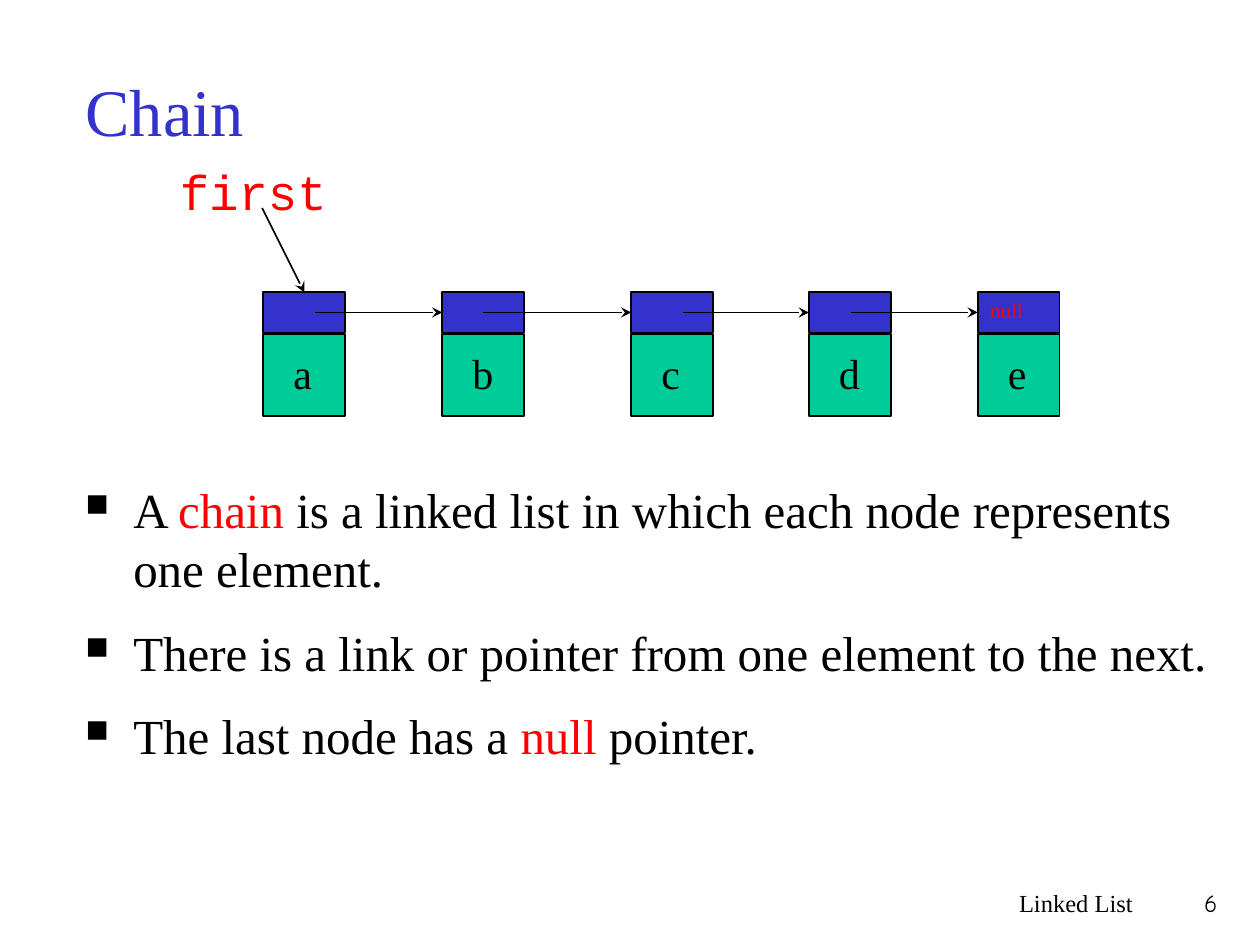
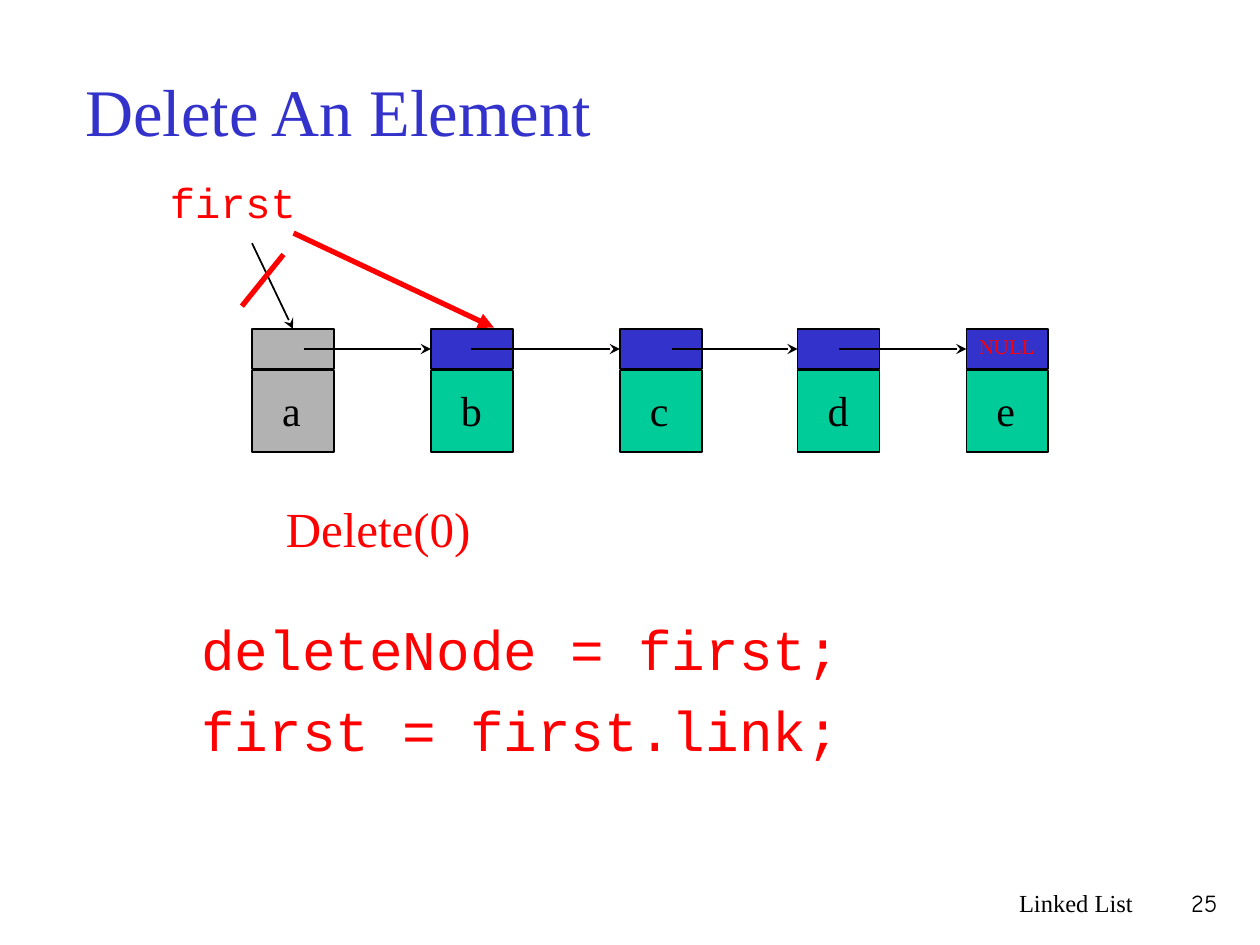
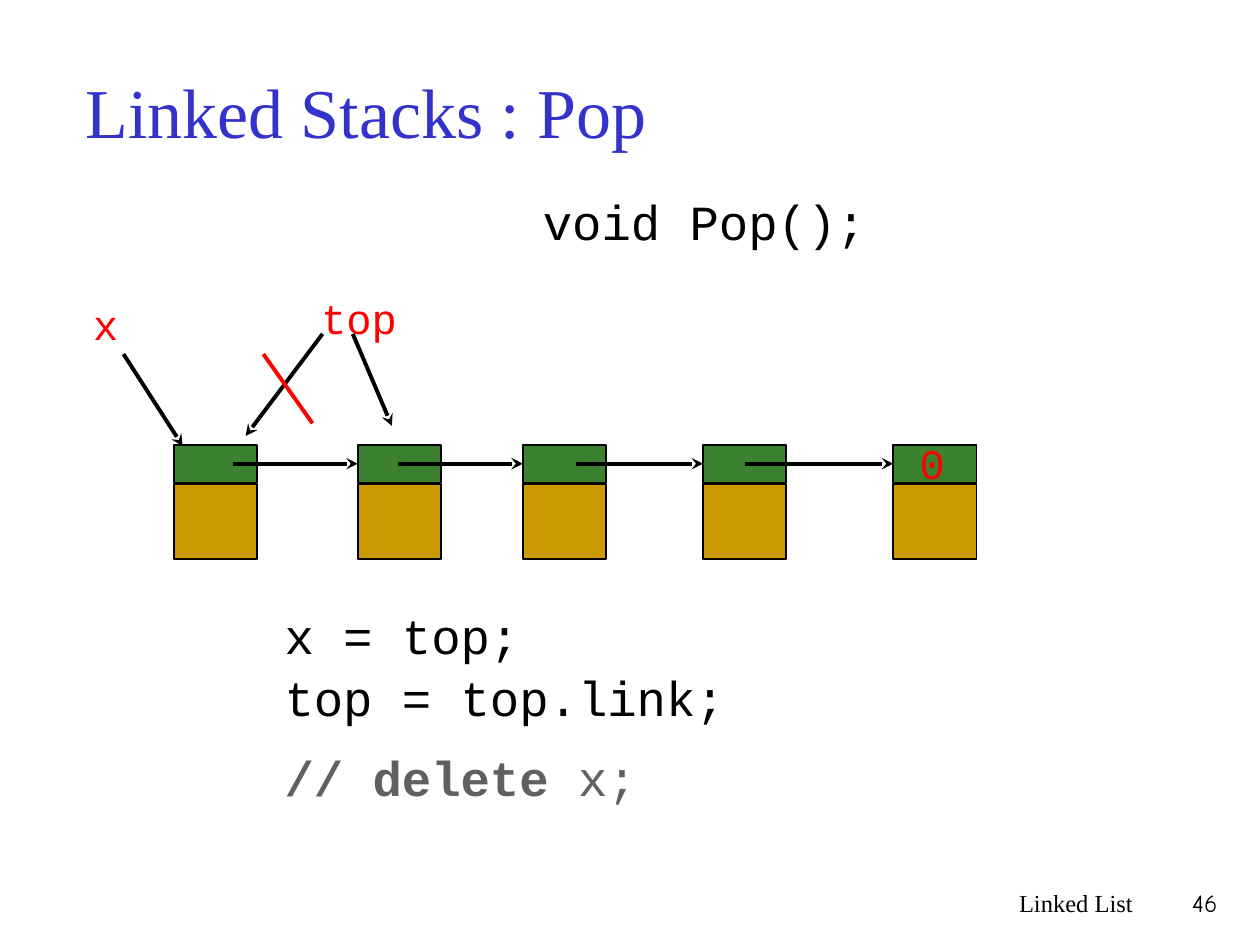
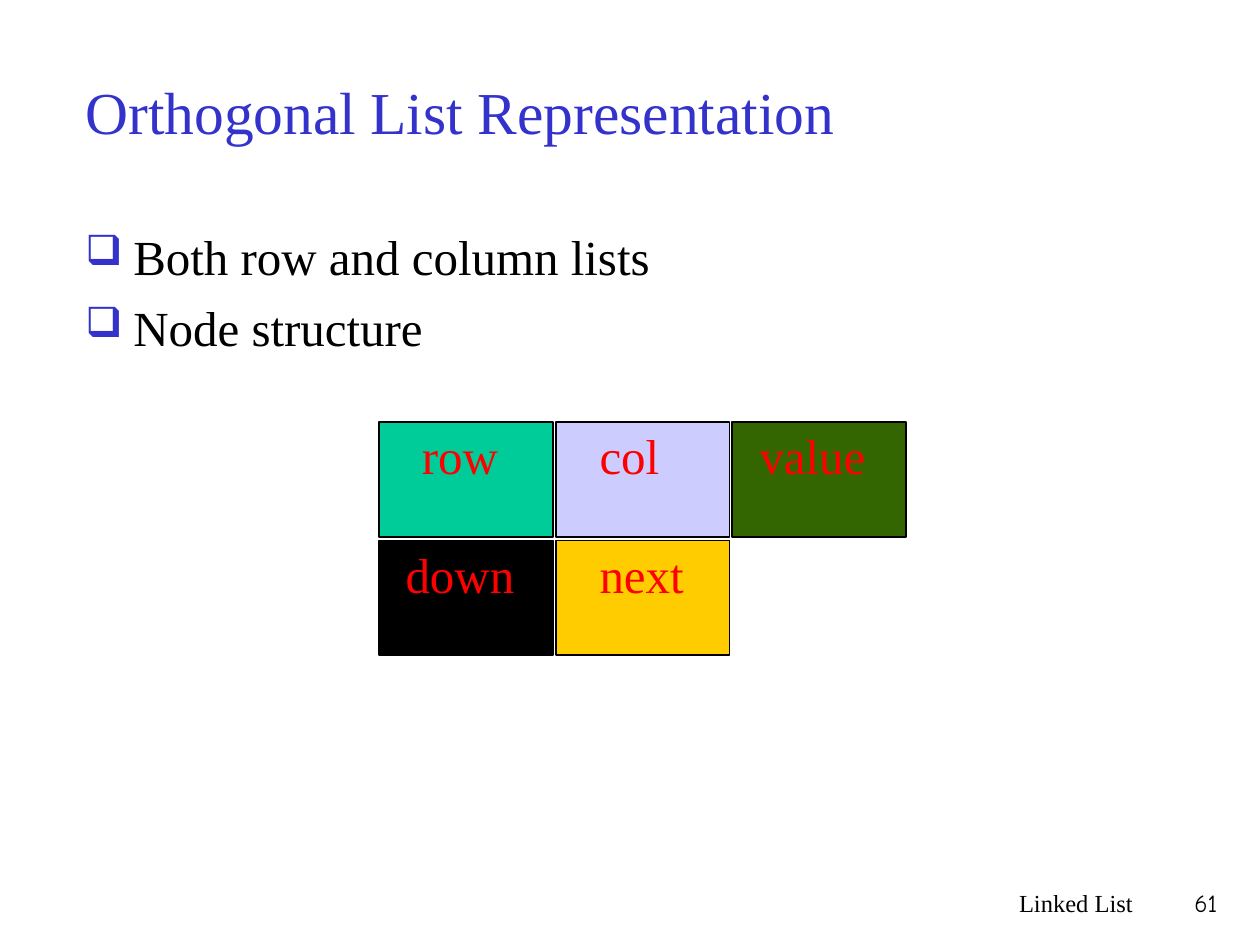
from dataclasses import dataclass
from typing import NamedTuple, Sequence

from lxml import etree
from pptx import Presentation
from pptx.dml.color import RGBColor
from pptx.enum.shapes import MSO_CONNECTOR, MSO_SHAPE
from pptx.enum.text import MSO_ANCHOR, PP_ALIGN
from pptx.oxml.ns import qn
from pptx.shapes.autoshape import Shape
from pptx.shapes.connector import Connector
from pptx.slide import Slide
from pptx.util import Inches, Pt

RECT = MSO_SHAPE.RECTANGLE
STRAIGHT = MSO_CONNECTOR.STRAIGHT
TOP, MIDDLE = MSO_ANCHOR.TOP, MSO_ANCHOR.MIDDLE
LEFT, RIGHT = PP_ALIGN.LEFT, PP_ALIGN.RIGHT
TOP_SIDE, LEFT_SIDE = 0, 1


@dataclass(frozen=True)
class Theme:
    serif: str = "Times New Roman"
    mono: str = "Courier New"
    comic: str = "Comic Neue"
    black: str = "000000"
    red: str = "FF0000"
    blue: str = "3333CC"
    teal: str = "00CC99"
    gray: str = "B2B2B2"
    dim: str = "606060"
    green: str = "3B812F"
    ochre: str = "CC9900"
    lilac: str = "CCCCFF"
    forest: str = "336600"
    gold: str = "FFCC00"
    title: int = 38
    code: int = 32
    body: int = 28
    label: int = 24
    foot: int = 14
    tiny: int = 12


T = Theme()


class Box(NamedTuple):
    x: float
    y: float
    w: float
    h: float


class Run(NamedTuple):
    text: str
    color: str
    bold: bool = False


class Bullet(NamedTuple):
    char: str
    color: str
    percent: int


class Style(NamedTuple):
    size: int
    face: str = T.serif
    color: str = T.black
    align: PP_ALIGN = LEFT
    anchor: MSO_ANCHOR = TOP
    gap: int = 0
    bullet: Bullet | None = None
    inset: tuple[float, float] = (0.1, 0.05)


class Line(NamedTuple):
    x1: float
    y1: float
    x2: float
    y2: float
    color: str = T.black
    width: float = 1
    head: str | None = "stealth"


class Look(NamedTuple):
    """Sizes, fills and arrow width shared by the nodes of one chain."""
    width: float
    link_h: float
    data_h: float
    link: str
    data: str
    arrow: float


class Node(NamedTuple):
    left: float
    tail: float = 0
    label: str = ""
    fill: str | None = None


class Cell(NamedTuple):
    col: int
    row: int
    text: str
    fill: str
    shift: float
    width: float


Text = str | Sequence[Run]

LIST = Look(0.65, 0.32, 0.65, T.blue, T.teal, 1)
STACK = Look(0.66, 0.3, 0.6, T.green, T.ochre, 2.25)
LABEL = Style(T.label)
NULL = Style(T.tiny, color=T.red)
CODE = Style(T.body, T.mono)
NAME = Style(T.label, T.mono, T.red)
TIGHT = NAME._replace(inset=(0.07, 0.04))
FIELD = Style(T.body, color=T.red)
NOTES = Style(T.body, gap=14, bullet=Bullet("■", T.black, 65))
TOPICS = Style(T.body, gap=7, bullet=Bullet("❑", T.blue, 85))
FOOT = Style(T.foot, align=RIGHT)

LETTERS = (Node(2.09, 0.41, "a"), Node(3.51, 0.32, "b"), Node(5.01, 0.41, "c"),
           Node(6.42, 0.33, "d"), Node(7.76, 0, "e"))
ITEMS = (Node(1.38, 0.47), Node(2.84, 0.32), Node(4.15, 0.42),
         Node(5.58, 0.33), Node(7.09))
CELLS = (Cell(0, 0, "row", T.teal, 0.24, 1.15),
         Cell(1, 0, "col", T.lilac, 0.25, 1.15),
         Cell(2, 0, "value", T.forest, 0.12, 2.3),
         Cell(0, 1, "down", T.black, 0.11, 1.28),
         Cell(1, 1, "next", T.gold, 0.25, 1.15))


def rgb(color: str) -> RGBColor:
    return RGBColor.from_string(color)


def inch(values: Sequence[float]) -> list[Inches]:
    return [Inches(v) for v in values]


def add_bullet(para, bullet: Bullet) -> None:
    props = para._p.get_or_add_pPr()
    props.set("marL", str(Inches(0.38)))
    props.set("indent", str(Inches(-0.38)))
    tint = etree.SubElement(props, qn("a:buClr"))
    etree.SubElement(tint, qn("a:srgbClr"), val=bullet.color)
    etree.SubElement(props, qn("a:buSzPct"), val=str(bullet.percent * 1000))
    etree.SubElement(props, qn("a:buChar"), char=bullet.char)


def write(slide: Slide, box: Box, style: Style, *texts: Text) -> None:
    """Add a text box with one paragraph for each text."""
    frame = slide.shapes.add_textbox(*inch(box)).text_frame
    frame.word_wrap = True
    frame.vertical_anchor = style.anchor
    frame.margin_left = frame.margin_right = Inches(style.inset[0])
    frame.margin_top = frame.margin_bottom = Inches(style.inset[1])
    for i, text in enumerate(texts):
        para = frame.add_paragraph() if i else frame.paragraphs[0]
        para.alignment = style.align
        if style.bullet:
            add_bullet(para, style.bullet)
        if i and style.gap:
            para.space_before = Pt(style.gap)
        para.font.size = Pt(style.size)
        para.font.name = style.face
        if isinstance(text, str):
            para.font.color.rgb = rgb(style.color)
            para.add_run().text = text
            continue
        for part in text:
            run = para.add_run()
            run.text = part.text
            run.font.color.rgb = rgb(part.color)
            run.font.bold = part.bold


def add_rect(slide: Slide, box: Box, fill: str) -> Shape:
    rect = slide.shapes.add_shape(RECT, *inch(box))
    rect.shadow.inherit = False
    rect.fill.solid()
    rect.fill.fore_color.rgb = rgb(fill)
    rect.line.color.rgb = rgb(T.black)
    rect.line.width = Pt(1)
    return rect


def add_line(slide: Slide, line: Line) -> Connector:
    link = slide.shapes.add_connector(STRAIGHT, *inch(line[:4]))
    link.line.color.rgb = rgb(line.color)
    link.line.width = Pt(line.width)
    props = link._element.spPr
    if line.head:
        etree.SubElement(props.find(qn("a:ln")), qn("a:tailEnd"), type=line.head)
    etree.SubElement(props, qn("a:effectLst"))
    return link


def add_chain(slide: Slide, look: Look, top: float,
              nodes: Sequence[Node]) -> list[Shape]:
    """Draw the nodes and their arrows; return the link parts."""
    links = []
    for node in nodes:
        add_rect(slide, Box(node.left, top + look.link_h + 0.01, look.width,
                            look.data_h), node.fill or look.data)
        links.append(add_rect(slide, Box(node.left, top, look.width, look.link_h),
                              node.fill or look.link))
        if node.label:
            write(slide, Box(node.left + 0.14, top + 0.39, 0.37, 0.5),
                  LABEL, node.label)
    mid = top + look.link_h / 2
    for node, after, link in zip(nodes, nodes[1:], links[1:]):
        arrow = add_line(slide, Line(node.left + node.tail, mid, after.left, mid,
                                     width=look.arrow))
        arrow.end_connect(link, LEFT_SIDE)
    return links


def add_letters(slide: Slide, top: float, nodes: Sequence[Node], end: str,
                start: tuple[float, float]) -> None:
    """Draw a lettered chain, its end mark and the arrow to its first node."""
    first = add_chain(slide, LIST, top, nodes)[0]
    write(slide, Box(nodes[-1].left, top - 0.01, 0.67, 0.3), NULL, end)
    arrow = add_line(slide, Line(*start, nodes[0].left + LIST.width / 2, top))
    arrow.end_connect(first, TOP_SIDE)


def new_slide(deck, title: str, number: int, size: int = T.title) -> Slide:
    slide = deck.slides.add_slide(deck.slide_layouts[6])
    write(slide, Box(0.58, 0.25, 8.5, 1.25),
          Style(size, color=T.blue, anchor=MIDDLE), title)
    write(slide, Box(5.92, 7, 3.17, 0.5), FOOT, "Linked List")
    write(slide, Box(9.08, 7, 0.68, 0.5), FOOT._replace(face=T.comic), str(number))
    return slide


def chain_slide(deck) -> None:
    slide = new_slide(deck, "Chain", 6)
    write(slide, Box(0.58, 3.76, 9.17, 2.46), NOTES,
          [Run("A ", T.black), Run("chain", T.red),
           Run(" is a linked list in which each node represents one element.",
               T.black)],
          "There is a link or pointer from one element to the next.",
          [Run("The last node has a ", T.black), Run("null ", T.red),
           Run("pointer.", T.black)])
    write(slide, Box(1.33, 1.23, 1.83, 0.57), CODE._replace(color=T.red), "first")
    add_letters(slide, 2.32, LETTERS, "null", (2.08, 1.65))


def delete_slide(deck) -> None:
    slide = new_slide(deck, "Delete An Element", 25)
    write(slide, Box(2.17, 3.91, 7.17, 0.67), FIELD, "Delete(0)")
    nodes = [n._replace(left=n.left - 0.09) for n in LETTERS]
    nodes[0] = nodes[0]._replace(fill=T.gray)
    write(slide, Box(1.25, 1.35, 1.83, 0.5), NAME, "first")
    add_letters(slide, 2.61, nodes, "NULL", (2, 1.93))
    add_line(slide, Line(2.33, 1.85, 3.92, 2.6, T.red, 3, "triangle"))
    add_line(slide, Line(2.25, 2.02, 1.92, 2.43, T.red, 3, None))
    write(slide, Box(1.5, 4.83, 7, 0.75), Style(T.code, T.mono, T.red, gap=8),
          "deleteNode = first;", "first = first.link;")


def pop_slide(deck) -> None:
    slide = new_slide(deck, "Linked Stacks : Pop", 46, 40)
    add_chain(slide, STACK, 3.53, ITEMS)
    write(slide, Box(2.48, 2.28, 1.43, 0.66), TIGHT, "top")
    write(slide, Box(0.67, 2.33, 1.43, 0.66), TIGHT, "x")
    write(slide, Box(7.2, 3.42, 0.63, 0.5), NAME, "0")
    for ends in ((2.56, 2.65, 1.95, 3.46), (2.8, 2.65, 3.11, 3.38),
                 (0.98, 2.81, 1.45, 3.54)):
        add_line(slide, Line(*ends, width=STACK.arrow))
    add_line(slide, Line(2.09, 2.81, 2.48, 3.36, T.red, STACK.arrow, None))
    write(slide, Box(4.21, 1.47, 4.25, 0.57), CODE, "void Pop();")
    write(slide, Box(2.16, 4.76, 6.22, 0.57), CODE, "x = top;")
    write(slide, Box(2.16, 5.25, 4.02, 0.57), CODE, "top = top.link;")
    write(slide, Box(2.16, 5.88, 4.02, 0.57), CODE,
          [Run("// delete ", T.dim, True), Run("x;", T.dim)])


def field_slide(deck) -> None:
    slide = new_slide(deck, "Orthogonal List Representation", 61, 34)
    write(slide, Box(0.58, 1.75, 8.5, 5.08), TOPICS,
          "Both row and column lists", "Node structure")
    for cell in CELLS:
        x, y = 3.01 + cell.col * 1.4, 3.35 + cell.row * 0.94
        add_rect(slide, Box(x, y, 1.38, 0.91), cell.fill)
        write(slide, Box(x + cell.shift, y - 0.02, cell.width, 0.57),
              FIELD, cell.text)


def main() -> None:
    deck = Presentation()
    deck.slide_width, deck.slide_height = Inches(10), Inches(7.5)
    for build in (chain_slide, delete_slide, pop_slide, field_slide):
        build(deck)
    deck.save("out.pptx")


if __name__ == "__main__":
    main()
